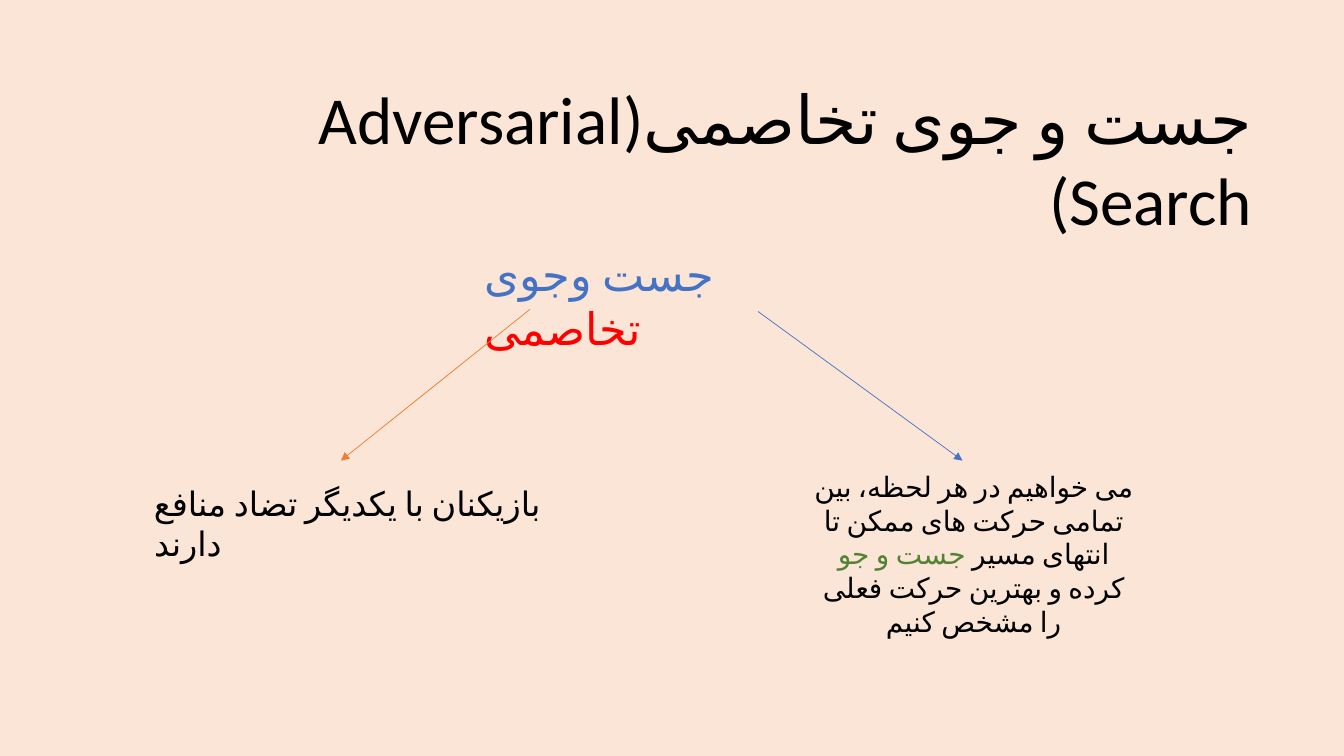
from dataclasses import dataclass

from lxml.etree import SubElement
from pptx import Presentation
from pptx.dml.color import RGBColor
from pptx.enum.shapes import MSO_CONNECTOR
from pptx.enum.text import MSO_AUTO_SIZE, PP_ALIGN
from pptx.oxml.ns import qn
from pptx.util import Pt


@dataclass(frozen=True)
class Theme:
    """Colours, font and type sizes of the slide."""
    font: str = "Calibri"
    background: str = "FBE5D6"
    text: str = "000000"
    blue: str = "4472C4"
    red: str = "FF0000"
    orange: str = "ED7D31"
    green: str = "548235"
    title_size: float = 48
    root_size: float = 32
    conflict_size: float = 24
    goal_size: float = 20
    line_width: float = 0.5


class SlideBuilder:
    """Adds styled elements to the current slide."""

    def __init__(self, slide, theme):
        """Keep the slide and theme and paint the background."""
        self.slide = slide
        self.theme = theme
        fill = slide.background.fill
        fill.solid()
        fill.fore_color.rgb = RGBColor.from_string(theme.background)

    def text(self, box, size, parts, align=None, right_to_left=False):
        """Add a text box made of (wording, colour) parts."""
        frame = self.slide.shapes.add_textbox(*map(Pt, box)).text_frame
        frame.word_wrap = True
        frame.auto_size = MSO_AUTO_SIZE.SHAPE_TO_FIT_TEXT
        paragraph = frame.paragraphs[0]
        paragraph.alignment = align
        if right_to_left:
            paragraph._p.get_or_add_pPr().set("rtl", "1")
        for wording, colour in parts:
            run = paragraph.add_run()
            run.text = wording
            run.font.name = self.theme.font
            run.font.size = Pt(size)
            run.font.color.rgb = RGBColor.from_string(colour)
            properties = run._r.get_or_add_rPr()
            properties.set("lang", "fa-IR")
            SubElement(properties, qn("a:cs"), typeface=self.theme.font)

    def arrow(self, start, end, colour):
        """Add a straight arrow from start to end."""
        connector = self.slide.shapes.add_connector(
            MSO_CONNECTOR.STRAIGHT, *map(Pt, (*start, *end)))
        connector.line.color.rgb = RGBColor.from_string(colour)
        connector.line.width = Pt(self.theme.line_width)
        SubElement(connector.line._get_or_add_ln(), qn("a:tailEnd"), type="triangle")
        SubElement(connector._element.spPr, qn("a:effectLst"))


theme = Theme()
presentation = Presentation()
presentation.slide_width = Pt(960)
presentation.slide_height = Pt(540)
builder = SlideBuilder(
    presentation.slides.add_slide(presentation.slide_layouts[6]), theme)

builder.text((132.5, 52, 769, 65.5), theme.title_size,
             [("جست و جوی تخاصمی(Adversarial Search)", theme.text)],
             PP_ALIGN.RIGHT, right_to_left=True)
builder.text((339, 173, 234, 46), theme.root_size,
             [("جست وجوی ", theme.blue), ("تخاصمی", theme.red)])
builder.arrow((541.5, 222.5), (687.5, 329), theme.blue)
builder.arrow((378.5, 221), (243.5, 329), theme.orange)
builder.text((103, 341.5, 299, 36), theme.conflict_size,
             [("بازیکنان با یکدیگر تضاد منافع دارند", theme.text)])
builder.text((573, 332, 245, 104.5), theme.goal_size,
             [("می خواهیم در هر لحظه، بین تمامی حرکت های ممکن تا انتهای مسیر ", theme.text),
              ("جست و جو ", theme.green),
              ("کرده و بهترین حرکت فعلی را مشخص کنیم", theme.text)],
             PP_ALIGN.CENTER, right_to_left=True)

presentation.save("out.pptx")
